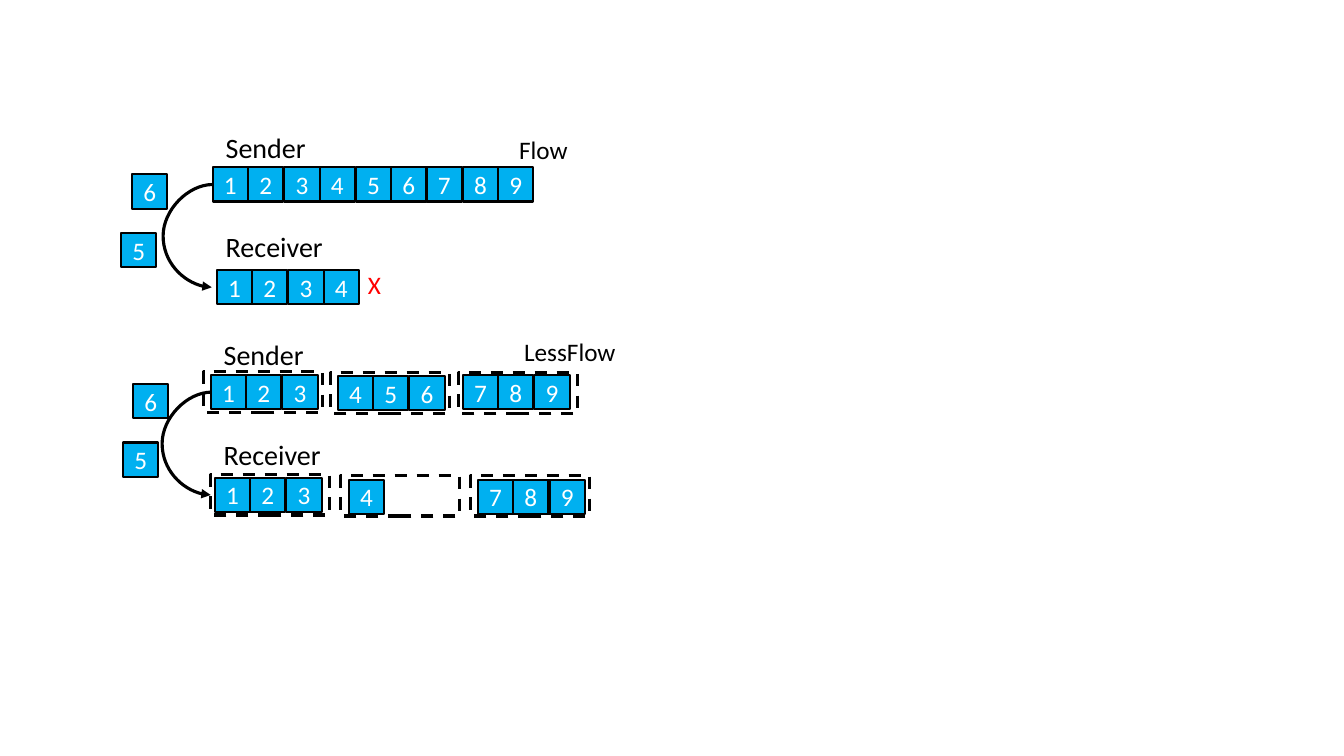
"""Draw one slide that compares packet delivery with Flow and with LessFlow."""
import pptx
import pptx.dml.color
import pptx.enum.dml
import pptx.enum.shapes
import pptx.enum.text
import pptx.oxml
import pptx.oxml.ns
import pptx.util

PX = 9144
COLORS = {"black": "000000", "white": "FFFFFF", "block": "00B0F0", "lost": "FF0000"}
BLOCK_WIDTH, BLOCK_HEIGHT, BLOCK_PITCH = 35, 34, 35.4
FRAME_WIDTH, FRAME_HEIGHT = 118, 40


def color(name):
    return pptx.dml.color.RGBColor.from_string(COLORS[name])


def write(shape, text, size=18, ink="black", align="LEFT", anchor="TOP", wrap=False):
    frame = shape.text_frame
    frame.word_wrap = wrap
    frame.vertical_anchor = getattr(pptx.enum.text.MSO_ANCHOR, anchor)
    para = frame.paragraphs[0]
    para.alignment = getattr(pptx.enum.text.PP_ALIGN, align)
    span = para.add_run()
    span.text = text
    span.font.name = "Calibri"
    span.font.size = pptx.util.Pt(size)
    span.font.color.rgb = color(ink)


deck = pptx.Presentation()
deck.slide_width, deck.slide_height = 1333 * PX, 750 * PX
page = deck.slides.add_slide(deck.slide_layouts[6])
rectangle = pptx.enum.shapes.MSO_SHAPE.RECTANGLE

block_rows = [
    (211, 166, "123456789"), (215, 268, "1234"), (131, 173, "6"), (120, 231, "5"),
    (209, 372, "123"), (335, 373, "456"), (459, 372, "789"),
    (213, 474, "123"), (346, 476, "4"), (474, 476, "789"),
    (132, 381, "6"), (122, 439, "5"),
]
for left, top, numbers in block_rows:
    for index, number in enumerate(numbers):
        x = left + round(index * BLOCK_PITCH)
        block = page.shapes.add_shape(
            rectangle, x * PX, top * PX, BLOCK_WIDTH * PX, BLOCK_HEIGHT * PX)
        block.shadow.inherit = False
        block.fill.solid()
        block.fill.fore_color.rgb = color("block")
        block.line.color.rgb = color("black")
        block.line.width = pptx.util.Pt(1.5)
        write(block, number, ink="white", align="CENTER", anchor="MIDDLE", wrap=True)

lessflow_frames = [(202, 369), (328, 370), (455, 370), (209, 471), (338, 472), (467, 472)]
for left, top in lessflow_frames:
    group_frame = page.shapes.add_shape(
        rectangle, left * PX, top * PX, FRAME_WIDTH * PX, FRAME_HEIGHT * PX)
    group_frame.shadow.inherit = False
    group_frame.fill.background()
    group_frame.line.color.rgb = color("black")
    group_frame.line.width = pptx.util.Pt(2.25)
    group_frame.line.dash_style = pptx.enum.dml.MSO_LINE.DASH

labels = [
    ("Sender", 214, 125, 100, 44, 20, "black"),
    ("Receiver", 214, 223, 118, 44, 20, "black"),
    ("Flow", 505, 128, 69, 40, 18, "black"),
    ("X", 355, 262, 33, 40, 18, "lost"),
    ("Sender", 212, 330, 100, 44, 20, "black"),
    ("Receiver", 212, 429, 118, 44, 20, "black"),
    ("LessFlow", 510, 329, 112, 40, 18, "black"),
]
for text, left, top, width, height, size, ink in labels:
    label = page.shapes.add_textbox(left * PX, top * PX, width * PX, height * PX)
    label.text_frame.auto_size = pptx.enum.text.MSO_AUTO_SIZE.SHAPE_TO_FIT_TEXT
    write(label, text, size=size, ink=ink)

for left, top in [(210, 183), (209, 389)]:
    arrow = page.shapes.add_connector(
        pptx.enum.shapes.MSO_CONNECTOR.CURVE,
        left * PX, (top + 102) * PX, (left + 1) * PX, top * PX)
    arrow.line.color.rgb = color("black")
    arrow.line.width = pptx.util.Pt(2.25)
    properties = arrow._element.spPr
    properties.find(pptx.oxml.ns.qn("a:xfrm")).set("rot", "10800000")
    geometry = properties.find(pptx.oxml.ns.qn("a:prstGeom"))
    bends = geometry.get_or_add_avLst()
    bend = pptx.oxml.parse_xml(
        f'<a:gd {pptx.oxml.ns.nsdecls("a")} name="adj1" fmla="val 5000000"/>')
    bends.append(bend)
    head = pptx.oxml.parse_xml(f'<a:tailEnd {pptx.oxml.ns.nsdecls("a")} type="triangle"/>')
    arrow.line._get_or_add_ln().append(head)
    properties.append(pptx.oxml.parse_xml(f'<a:effectLst {pptx.oxml.ns.nsdecls("a")}/>'))

deck.save("out.pptx")
